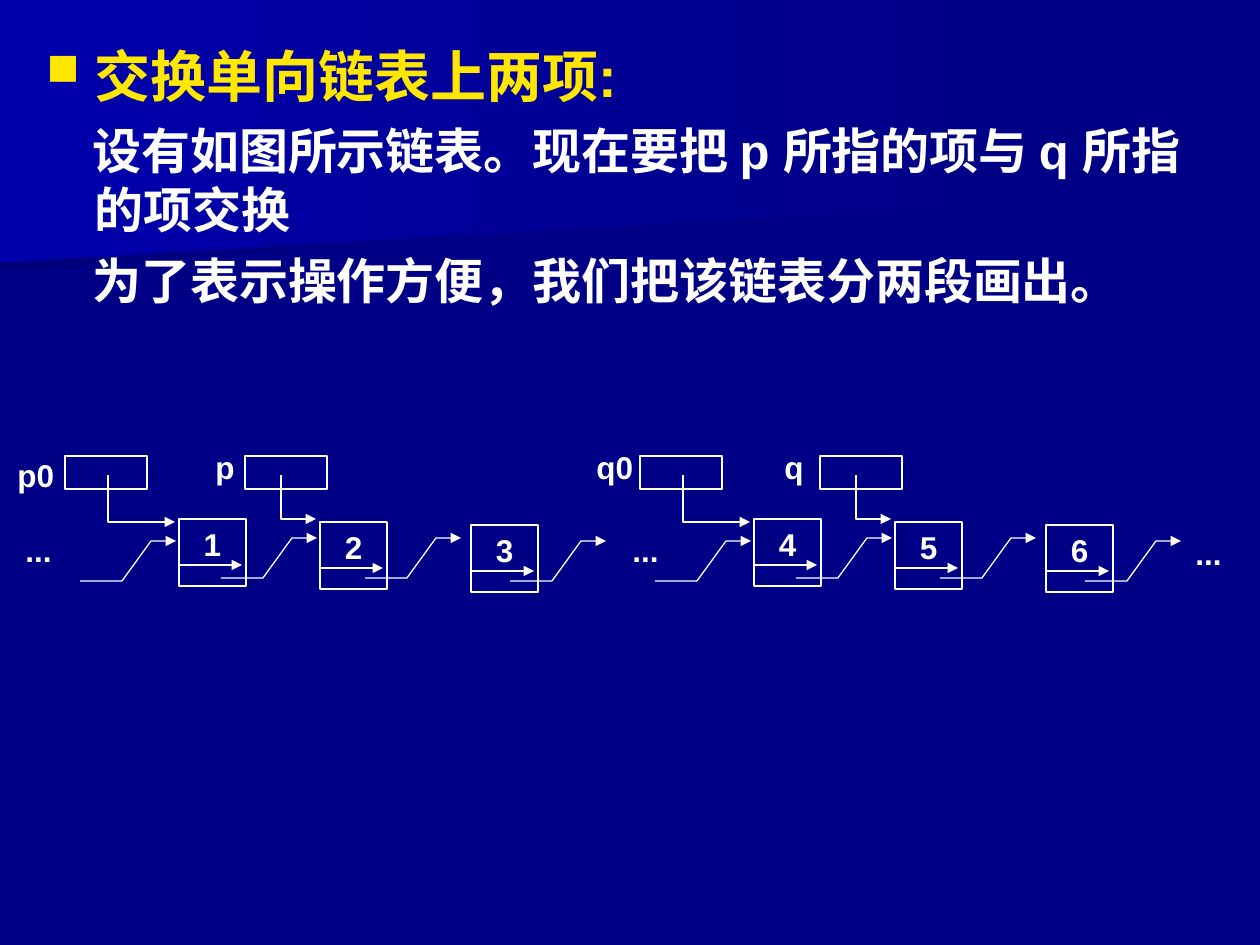
from dataclasses import dataclass

from lxml.etree import SubElement
from pptx import Presentation
from pptx.dml.color import RGBColor
from pptx.enum.shapes import MSO_CONNECTOR, MSO_SHAPE
from pptx.enum.text import MSO_ANCHOR, PP_ALIGN
from pptx.oxml.ns import qn
from pptx.util import Pt

PX = 914400 / 126  # EMU per pixel
NAVY = RGBColor(0x00, 0x00, 0x86)
DEEP_NAVY = RGBColor(0x00, 0x00, 0x7D)
BLUE = RGBColor(0x00, 0x00, 0xAC)
YELLOW = RGBColor(0xFF, 0xE7, 0x01)
WHITE = RGBColor(0xFF, 0xFF, 0xFF)
NODE_SIZE = 67
Point = tuple[int, int]


@dataclass
class Label:
    text: str
    x: int
    y: int
    width: int
    height: int = 59


@dataclass
class Node:
    x: int
    y: int


@dataclass
class Segment:
    offset: int
    numbers: tuple[str, str, str]


# Positions shared by both segments of the list
POINTER_BOXES = [65, 245]
NODES = [Node(179, 519), Node(320, 522), Node(471, 525)]
POINTER_ARROWS = [
    [(108, 475), (108, 522), (175, 522)],
    [(281, 475), (281, 519), (316, 519)],
]
LINK_STARTS = [(80, 581), (221, 578), (365, 578), (510, 581)]
LINK_STEPS = [(0, 0), (42, 0), (71, -40), (96, -40)]

SEGMENTS = [Segment(0, ("1", "2", "3")), Segment(575, ("4", "5", "6"))]
LABELS = [
    Label("p0", 5, 450, 86), Label("p", 203, 442, 57),
    Label("q0", 584, 442, 71), Label("q", 772, 442, 71),
    Label("...", 13, 525, 82, 49), Label("...", 620, 525, 82, 49),
    Label("...", 1183, 528, 82, 49),
]
BODY_LINES = [
    "设有如图所示链表。现在要把 p 所指的项与 q 所指的项交换",
    "为了表示操作方便，我们把该链表分两段画出。",
]


def emu(px: int) -> int:
    return round(px * PX)


def write(paragraph, text: str, *, size: int = 18, color: RGBColor = WHITE,
          align: PP_ALIGN = PP_ALIGN.LEFT, before: int = 0,
          indent: Point = (0, 0), bullet: str = "") -> None:
    """Fill a paragraph; indent is (left margin, first line) in px."""
    properties = paragraph._p.get_or_add_pPr()
    properties.set("marL", str(emu(indent[0])))
    properties.set("indent", str(emu(indent[1])))
    paragraph.alignment = align
    paragraph.space_before = Pt(before)
    if bullet:
        bullet_color = SubElement(properties, qn("a:buClr"))
        SubElement(bullet_color, qn("a:srgbClr"), val=str(color))
        SubElement(properties, qn("a:buSzPct"), val="80000")
        SubElement(properties, qn("a:buChar"), char=bullet)
    run = paragraph.add_run()
    run.text = text
    run.font.name = "Arial"
    run.font.size = Pt(size)
    run.font.bold = True
    run.font.color.rgb = color


def add_text_frame(slide, x: int, y: int, width: int, height: int):
    frame = slide.shapes.add_textbox(emu(x), emu(y), emu(width), emu(height)).text_frame
    frame.word_wrap = True
    return frame


def add_box(slide, x: int, y: int, width: int, height: int):
    box = slide.shapes.add_shape(
        MSO_SHAPE.RECTANGLE, emu(x), emu(y), emu(width), emu(height))
    box.shadow.inherit = False
    box.fill.background()
    box.line.color.rgb = WHITE
    box.line.width = Pt(0.75)
    return box


def add_outline(slide, points: list[Point], closed: bool = False):
    builder = slide.shapes.build_freeform(*points[0], scale=PX)
    builder.add_line_segments(points[1:], close=closed)
    outline = builder.convert_to_shape()
    outline.shadow.inherit = False
    return outline


def add_band(slide, points: list[Point], right: RGBColor, left: RGBColor) -> None:
    band = add_outline(slide, points, closed=True)
    band.line.fill.background()
    band.fill.gradient()
    band.fill.gradient_angle = 180
    for stop, color in zip(band.fill.gradient_stops, (right, left)):
        stop.color.rgb = color


def style_arrow(line) -> None:
    line.color.rgb = WHITE
    line.width = Pt(0.75)
    SubElement(line._get_or_add_ln(), qn("a:tailEnd"), type="triangle")


def add_bent_arrow(slide, points: list[Point]) -> None:
    arrow = add_outline(slide, points)
    arrow.fill.background()
    style_arrow(arrow.line)


def add_straight_arrow(slide, x: int, y: int, length: int) -> None:
    arrow = slide.shapes.add_connector(
        MSO_CONNECTOR.STRAIGHT, emu(x), emu(y), emu(x + length), emu(y))
    style_arrow(arrow.line)
    SubElement(arrow._element.spPr, qn("a:effectLst"))


def add_node(slide, x: int, y: int, number: str) -> None:
    frame = add_box(slide, x, y, NODE_SIZE, NODE_SIZE).text_frame
    frame.vertical_anchor = MSO_ANCHOR.TOP
    write(frame.paragraphs[0], number, align=PP_ALIGN.CENTER)
    add_straight_arrow(slide, x, y + 46, 63)


def add_segment(slide, segment: Segment) -> None:
    dx = segment.offset
    for x in POINTER_BOXES:
        add_box(slide, x + dx, 456, 82, 33)
    for node, number in zip(NODES, segment.numbers):
        add_node(slide, node.x + dx, node.y, number)
    links = [[(x + step_x, y + step_y) for step_x, step_y in LINK_STEPS]
             for x, y in LINK_STARTS]
    for points in POINTER_ARROWS + links:
        add_bent_arrow(slide, [(x + dx, y) for x, y in points])


def main() -> None:
    prs = Presentation()
    prs.slide_width, prs.slide_height = emu(1260), emu(945)
    slide = prs.slides.add_slide(prs.slide_layouts[6])

    # Background
    slide.background.fill.solid()
    slide.background.fill.fore_color.rgb = NAVY
    add_band(slide, [(981, 193), (0, 273), (0, 127), (982, 127)], NAVY, DEEP_NAVY)
    add_band(slide, [(998, 204), (0, 262), (0, 0), (998, 0)], NAVY, BLUE)

    # Heading and explanation
    body = add_text_frame(slide, 34, 35, 1197, 843)
    write(body.paragraphs[0], "交换单向链表上两项:", size=32, color=YELLOW,
          indent=(48, -48), bullet="■")
    for line in BODY_LINES:
        write(body.add_paragraph(), line, size=28, before=7, indent=(48, -2))

    # Linked list in two segments
    for segment in SEGMENTS:
        add_segment(slide, segment)
    for label in LABELS:
        frame = add_text_frame(slide, label.x, label.y, label.width, label.height)
        write(frame.paragraphs[0], label.text, align=PP_ALIGN.JUSTIFY)

    prs.save("out.pptx")


if __name__ == "__main__":
    main()
